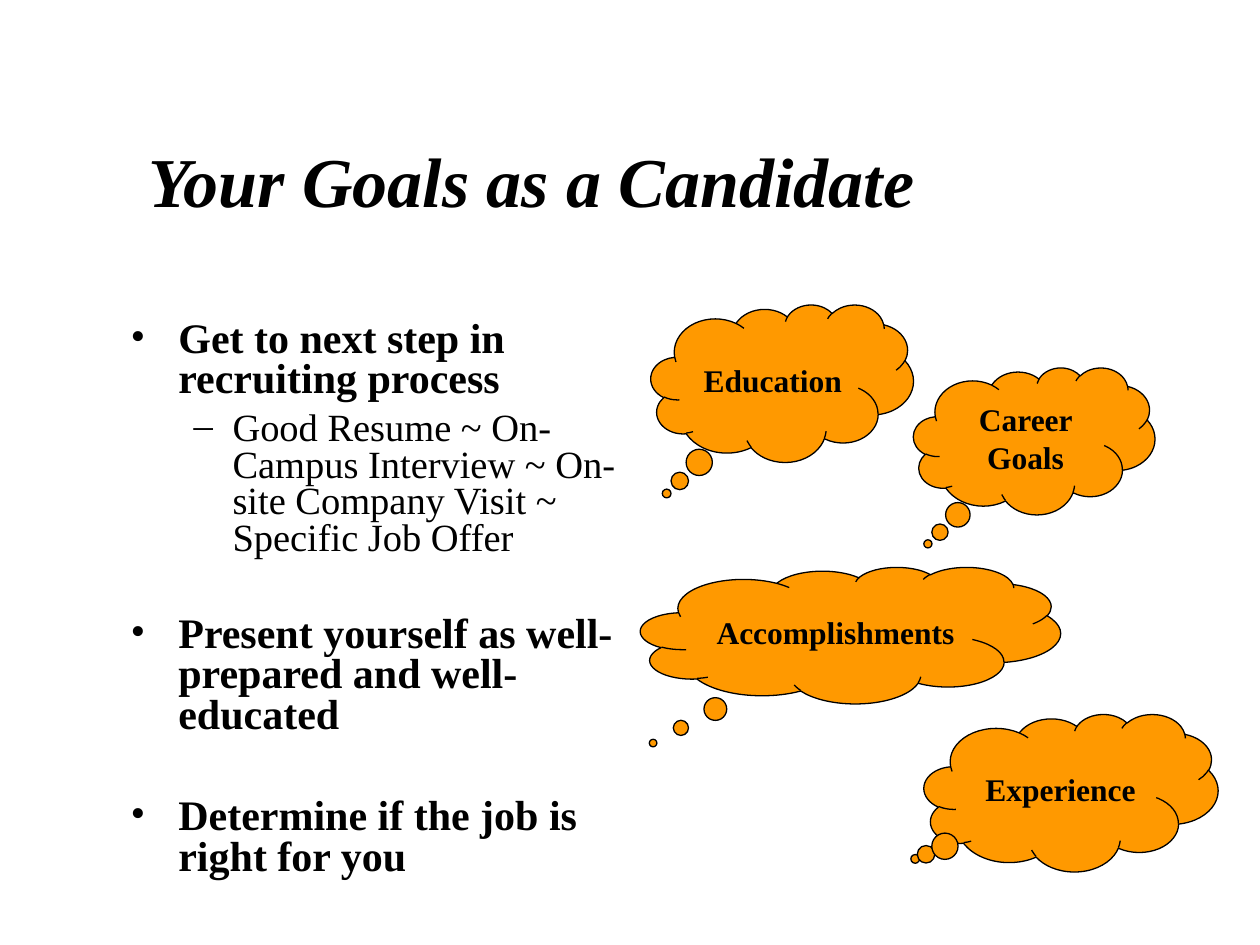
from dataclasses import dataclass

from lxml import etree
from pptx import Presentation
from pptx.dml.color import RGBColor
from pptx.enum.shapes import MSO_SHAPE
from pptx.enum.text import MSO_ANCHOR, PP_ALIGN
from pptx.oxml.ns import qn
from pptx.util import Inches, Pt

CLOUD = MSO_SHAPE.CLOUD_CALLOUT
MIDDLE = MSO_ANCHOR.MIDDLE
TOP = MSO_ANCHOR.TOP
CENTER = PP_ALIGN.CENTER
CELL = Inches(1) // 12


@dataclass(frozen=True)
class Theme:
    """Fonts, colours, type sizes and line width."""
    font: str = "Times New Roman"
    ink: RGBColor = RGBColor(0x00, 0x00, 0x00)
    cloud: RGBColor = RGBColor(0xFF, 0x99, 0x00)
    title: int = 40
    point: int = 24
    detail: int = 22
    label: int = 18
    edge: float = 0.75


class Page:
    """Draws on one slide, on a grid of twelve cells to the inch."""

    def __init__(self, slide, theme):
        """Keep the slide and its style."""
        self.slide = slide
        self.theme = theme

    def place(self, box):
        """Turn column, row, width and height into lengths."""
        return [round(part * CELL) for part in box]

    def run(self, para, text, size, bold=True, italic=False):
        """Add one styled run."""
        run = para.add_run()
        run.text = text
        font = run.font
        font.name, font.size = self.theme.font, Pt(size)
        font.bold, font.italic = bold, italic
        font.color.rgb = self.theme.ink

    def frame(self, box, anchor):
        """Add a wrapping text box."""
        frame = self.slide.shapes.add_textbox(*self.place(box)).text_frame
        frame.word_wrap = True
        frame.vertical_anchor = anchor
        return frame

    def title(self, box, text):
        """Add the heading."""
        para = self.frame(box, MIDDLE).paragraphs[0]
        self.run(para, text, self.theme.title, italic=True)

    def bullet(self, para, mark, left, hang):
        """Give a paragraph a hanging bullet."""
        props = para._p.get_or_add_pPr()
        props.set("marL", str(Inches(left)))
        props.set("indent", str(-Inches(hang)))
        font = etree.SubElement(props, qn("a:buFont"))
        font.set("typeface", self.theme.font)
        etree.SubElement(props, qn("a:buChar")).set("char", mark)

    def points(self, box, items):
        """Add a list of (level, space before, text)."""
        look = self.theme
        levels = (("•", 0.38, 0.38, look.point, True),
                  ("–", 0.81, 0.31, look.detail, False))
        frame = self.frame(box, TOP)
        for i, (level, gap, text) in enumerate(items):
            para = frame.add_paragraph() if i else frame.paragraphs[0]
            mark, left, hang, size, bold = levels[level]
            para.level = level
            para.line_spacing = 0.8
            para.space_before = Pt(gap)
            self.bullet(para, mark, left, hang)
            self.run(para, text, size, bold)

    def cloud(self, box, tail, text):
        """Add a thought cloud whose tail is a share of its size."""
        shape = self.slide.shapes.add_shape(CLOUD, *self.place(box))
        shape.adjustments[0], shape.adjustments[1] = tail
        shape.shadow.inherit = False
        shape.fill.solid()
        shape.fill.fore_color.rgb = self.theme.cloud
        shape.line.color.rgb = self.theme.ink
        shape.line.width = Pt(self.theme.edge)
        frame = shape.text_frame
        frame.word_wrap = True
        frame.vertical_anchor = MIDDLE
        para = frame.paragraphs[0]
        para.alignment = CENTER
        self.run(para, text, self.theme.label)


def main():
    """Build and save the slide."""
    deck = Presentation()
    deck.slide_width, deck.slide_height = 120 * CELL, 90 * CELL
    page = Page(deck.slides.add_slide(deck.slide_layouts[6]), Theme())
    page.title((13, 13, 84, 8.25), "Your Goals as a Candidate")
    page.points((11.25, 30, 50, 56), (
        (0, 6, "Get to next step in recruiting process"),
        (1, 5.5, "Good Resume ~ On-Campus Interview ~ "
                 "On-site Company Visit ~ Specific Job Offer"),
        (0, 32.5, "Present yourself as well-prepared and well-educated"),
        (0, 35, "Determine if the job is right for you"),
    ))
    clouds = (
        ((62, 29, 25, 15), (-0.44, 0.7), "Education"),
        ((87, 35, 23, 14), (-0.44, 0.7), "Career Goals"),
        ((61, 54, 40, 13), (-0.47, 0.79), "Accomplishments"),
        ((88, 68, 28, 15), (-0.53, 0.42), "Experience"),
    )
    for box, tail, text in clouds:
        page.cloud(box, tail, text)
    deck.save("out.pptx")


if __name__ == "__main__":
    main()
